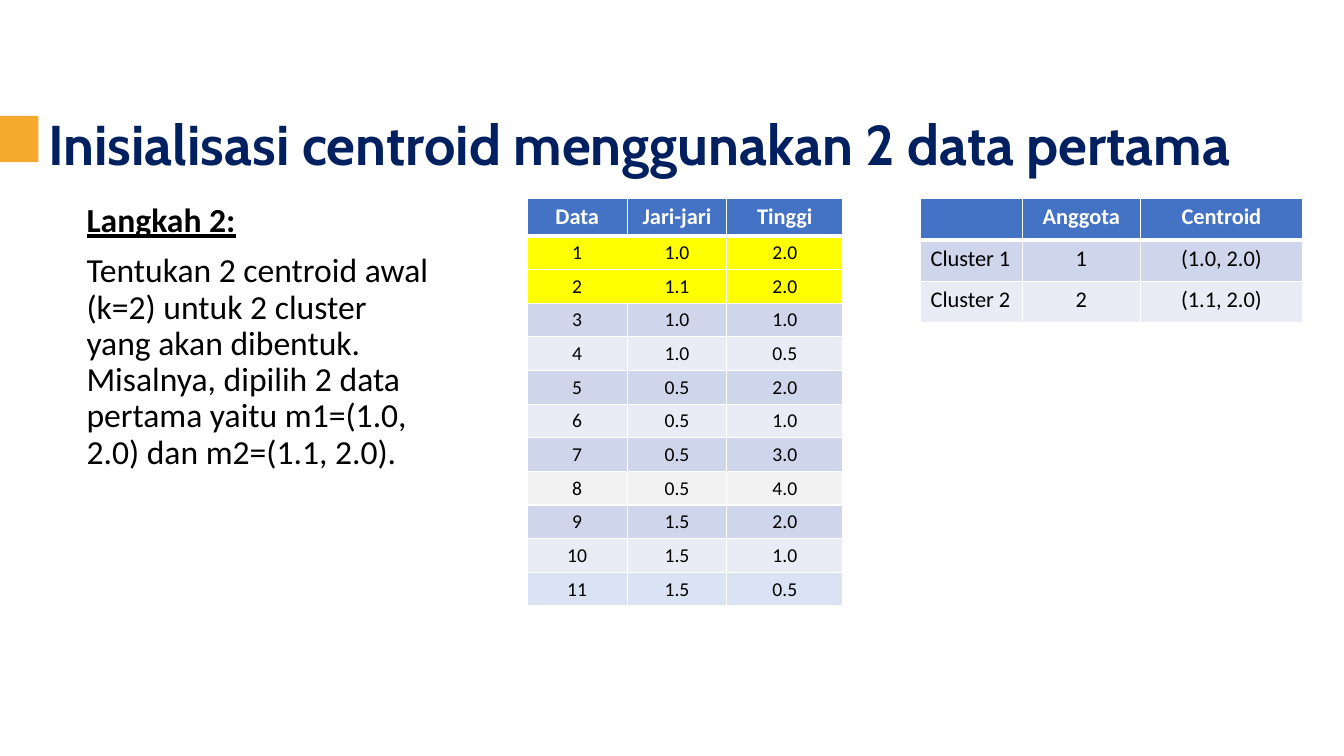
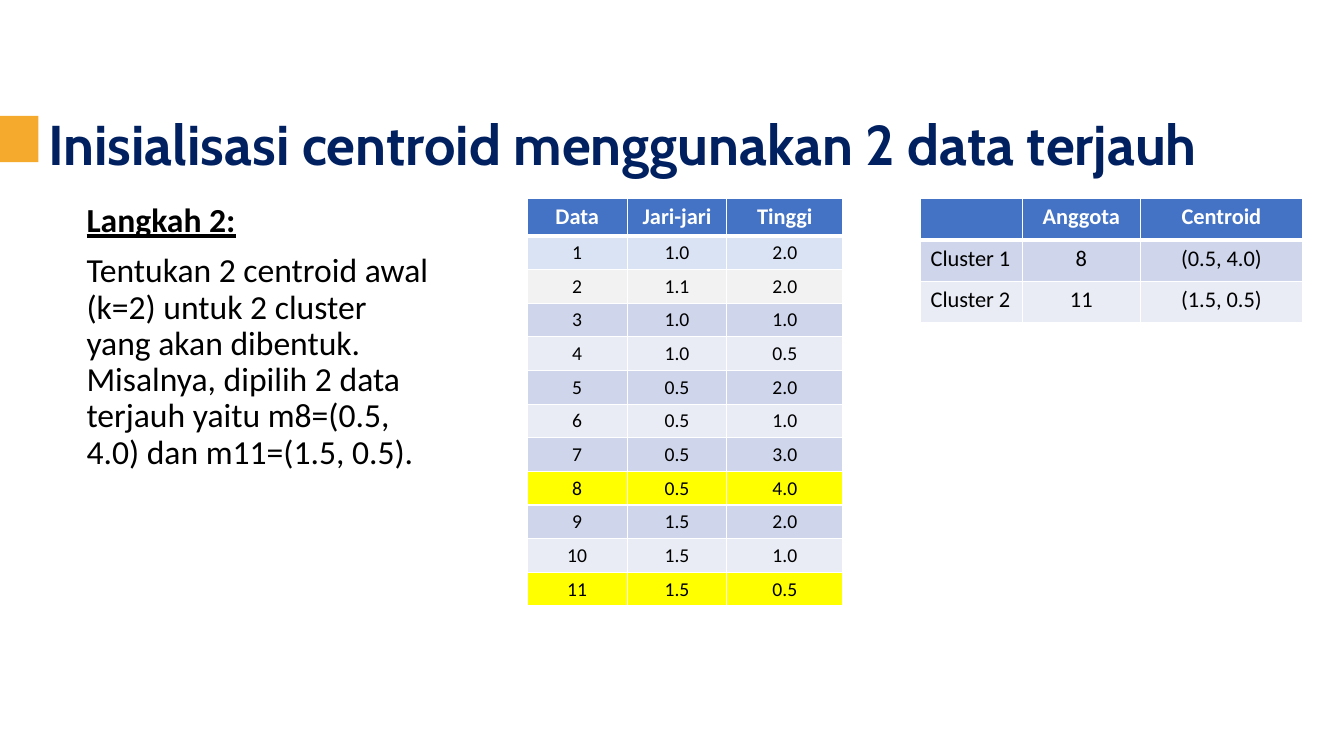
import pptx
import pptx.dml.color
import pptx.enum.shapes
import pptx.enum.text
import pptx.oxml
import pptx.oxml.ns
import pptx.util
from dataclasses import dataclass

Inches = pptx.util.Inches
Pt = pptx.util.Pt
ALIGN = pptx.enum.text.PP_ALIGN
ANCHOR = pptx.enum.text.MSO_ANCHOR


@dataclass(frozen=True)
class Theme:
    navy: str = "002060"
    orange: str = "F5AA2D"
    header: str = "4472C4"
    band_dark: str = "CFD5EA"
    band_light: str = "E9EBF5"
    tint_blue: str = "DAE3F3"
    tint_grey: str = "F2F2F2"
    highlight: str = "FFFF00"
    black: str = "000000"
    white: str = "FFFFFF"
    title_font: str = "Cabin"
    body_font: str = "Calibri"
    title_size: int = 40
    body_size: int = 24
    header_size: int = 16
    data_size: int = 14
    grid_width: int = 1
    header_rule_width: int = 3


THEME = Theme()

TITLE_BAND = (0, 0.96, 12.57, 0.85)
STEP_BOX = (0.76, 1.97, 3.68, 4.79)
DATA_CORNER = (5.23, 1.97)
CLUSTER_CORNER = (9.13, 1.97)

DATA_HEADER = ("Data", "Jari-jari", "Tinggi")
MEASUREMENTS = (
    ("1.0", "2.0"), ("1.1", "2.0"), ("1.0", "1.0"), ("1.0", "0.5"),
    ("0.5", "2.0"), ("0.5", "1.0"), ("0.5", "3.0"), ("0.5", "4.0"),
    ("1.5", "2.0"), ("1.5", "1.0"), ("1.5", "0.5"),
)
CLUSTER_HEADER = ("", "Anggota", "Centroid")
TINTED = {1: THEME.tint_blue, 2: THEME.tint_grey, 8: THEME.tint_grey, 11: THEME.tint_blue}

CHOICES = (("pertama", (1, 2)), ("terjauh", (8, 11)))


def apply_format(target, values):
    for attribute, value in values.items():
        setattr(target, attribute, value)


def rgb(code):
    return pptx.dml.color.RGBColor.from_string(code)


def write(paragraph, wording, color, layout=None, **font):
    apply_format(paragraph, layout or {})
    run = paragraph.add_run()
    run.text = wording
    apply_format(run.font, font)
    run.font.color.rgb = rgb(color)


def add_text_frame(slide, box, anchor):
    frame = slide.shapes.add_textbox(*map(Inches, box)).text_frame
    apply_format(frame, {"word_wrap": True, "vertical_anchor": anchor})
    return frame


def add_title_band(slide, box, wording):
    left, top, width, height = box
    marker_width = 0.38
    heading = add_text_frame(
        slide, (left + marker_width, top, width - marker_width, height), ANCHOR.BOTTOM)
    write(heading.paragraphs[0], wording, THEME.navy, {"line_spacing": 0.9},
          name=THEME.title_font, size=Pt(THEME.title_size), bold=True)
    marker = slide.shapes.add_shape(
        pptx.enum.shapes.MSO_SHAPE.RECTANGLE,
        Inches(left), Inches(top + 0.19), Inches(marker_width), Inches(0.46))
    marker.shadow.inherit = False
    marker.fill.solid()
    marker.fill.fore_color.rgb = rgb(THEME.orange)
    marker.line.fill.background()


def add_step(slide, box, heading, explanation):
    frame = add_text_frame(slide, box, ANCHOR.TOP)
    font = {"name": THEME.body_font, "size": Pt(THEME.body_size)}
    write(frame.paragraphs[0], heading, THEME.black, {"line_spacing": 0.9},
          bold=True, underline=True, **font)
    write(frame.add_paragraph(), explanation, THEME.black,
          {"line_spacing": 0.9, "space_before": Pt(10)}, **font)


def set_borders(cell, top_width, bottom_width):
    widths = {"L": THEME.grid_width, "R": THEME.grid_width, "T": top_width, "B": bottom_width}
    properties = cell._tc.get_or_add_tcPr()
    for position, (side, width) in enumerate(widths.items()):
        properties.insert(position, pptx.oxml.parse_xml(
            f'<a:ln{side} {pptx.oxml.ns.nsdecls("a")} w="{Pt(width)}">'
            f'<a:solidFill><a:srgbClr val="{THEME.white}"/></a:solidFill></a:ln{side}>'))


def add_grid(slide, corner, columns, heights, rows, fills, body_size, first_align):
    frame = slide.shapes.add_table(
        len(rows), len(columns), *map(Inches, corner),
        Inches(sum(columns)), Inches(sum(heights)))
    grid = frame.table
    apply_format(grid, {"first_row": False, "horz_banding": False})
    for column, width in zip(grid.columns, columns):
        column.width = Inches(width)
    for row_index, (row, height) in enumerate(zip(rows, heights)):
        grid.rows[row_index].height = Inches(height)
        is_header = row_index == 0
        top_width = THEME.header_rule_width if row_index == 1 else THEME.grid_width
        bottom_width = THEME.header_rule_width if is_header else THEME.grid_width
        for column_index, wording in enumerate(row):
            cell = grid.cell(row_index, column_index)
            cell.fill.solid()
            cell.fill.fore_color.rgb = rgb(fills[row_index])
            set_borders(cell, top_width, bottom_width)
            if wording:
                align = first_align if column_index == 0 else ALIGN.CENTER
                write(cell.text_frame.paragraphs[0], wording,
                      THEME.white if is_header else THEME.black, {"alignment": align},
                      name=THEME.body_font, bold=is_header,
                      size=Pt(THEME.header_size if is_header else body_size))


def band_fill(number):
    return THEME.band_dark if number % 2 else THEME.band_light


def add_data_table(slide, corner, chosen):
    rows = [DATA_HEADER]
    fills = [THEME.header]
    for number, measurement in enumerate(MEASUREMENTS, 1):
        rows.append((str(number), *measurement))
        plain = TINTED.get(number, band_fill(number))
        fills.append(THEME.highlight if number in chosen else plain)
    heights = [0.37] + [0.33] * len(MEASUREMENTS)
    add_grid(slide, corner, (0.99, 0.99, 1.15), heights, rows, fills,
             THEME.data_size, ALIGN.CENTER)


def centroid(number):
    return f"({', '.join(MEASUREMENTS[number - 1])})"


def add_cluster_table(slide, corner, chosen):
    rows = [CLUSTER_HEADER]
    fills = [THEME.header]
    for cluster, member in enumerate(chosen, 1):
        rows.append((f"Cluster {cluster}", str(member), centroid(member)))
        fills.append(band_fill(cluster))
    add_grid(slide, corner, (1.01, 1.17, 1.61), [0.41] * len(rows), rows, fills,
             THEME.header_size, ALIGN.LEFT)


def add_initialisation_slide(deck, choice, chosen):
    slide = deck.slides.add_slide(deck.slide_layouts[6])
    seeds = " dan ".join(f"m{number}={centroid(number)}" for number in chosen)
    add_title_band(slide, TITLE_BAND, f"Inisialisasi centroid menggunakan 2 data {choice}")
    add_step(slide, STEP_BOX, "Langkah 2:",
             "Tentukan 2 centroid awal (k=2) untuk 2 cluster yang akan dibentuk. "
             f"Misalnya, dipilih 2 data {choice} yaitu {seeds}.")
    add_data_table(slide, DATA_CORNER, chosen)
    add_cluster_table(slide, CLUSTER_CORNER, chosen)


def main():
    deck = pptx.Presentation()
    apply_format(deck, {"slide_width": Inches(13.33), "slide_height": Inches(7.5)})
    for choice, chosen in CHOICES:
        add_initialisation_slide(deck, choice, chosen)
    deck.save("out.pptx")


if __name__ == "__main__":
    main()
